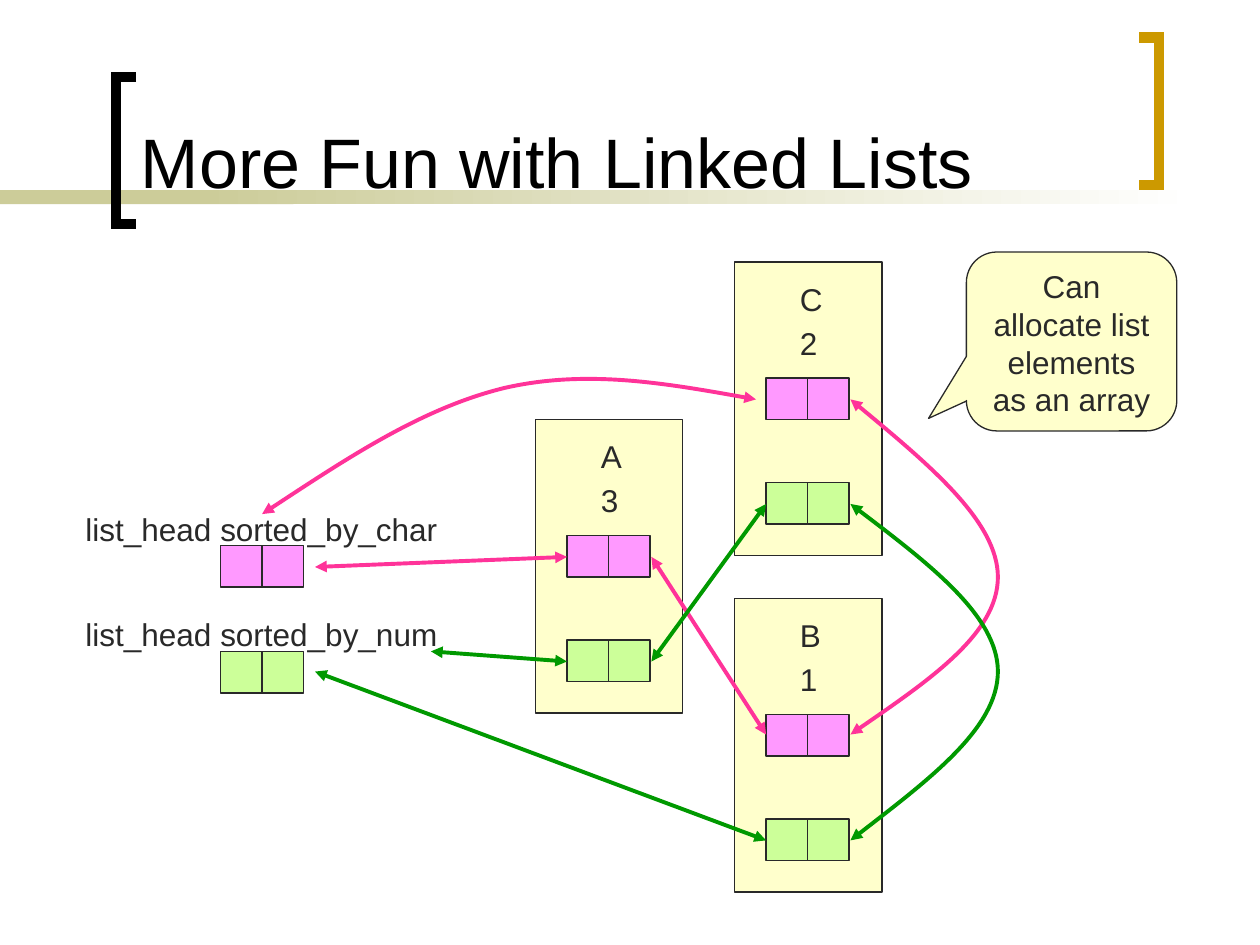
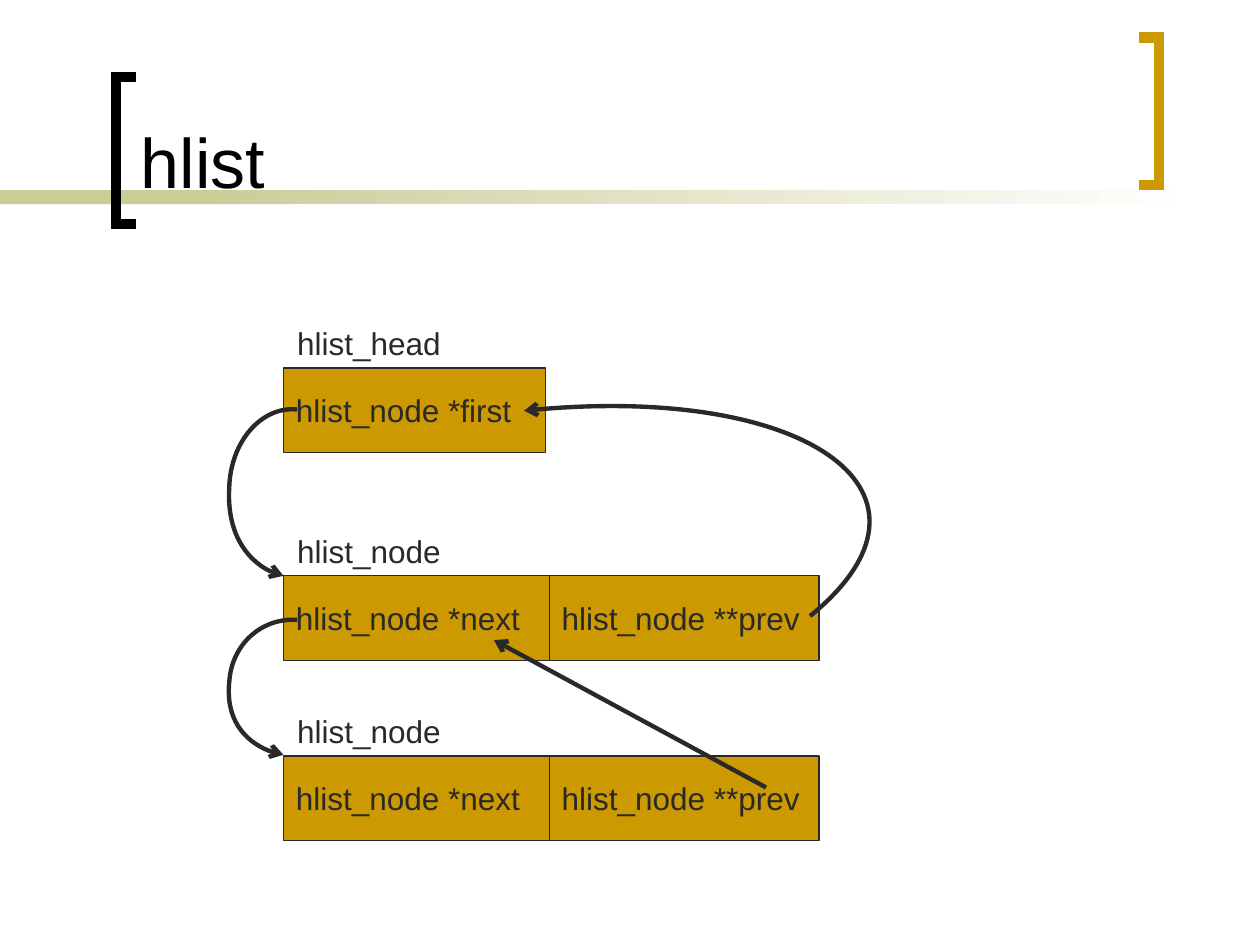
import pptx
import pptx.dml.color
import pptx.enum.shapes
import pptx.enum.text
import pptx.oxml
import pptx.oxml.ns
import pptx.util

Inches, Pt = pptx.util.Inches, pptx.util.Pt
SHAPE = pptx.enum.shapes.MSO_SHAPE
ANCHOR = pptx.enum.text.MSO_ANCHOR
ALIGN = pptx.enum.text.PP_ALIGN
COLORS = {
    "ink": "292929", "black": "000000", "white": "FFFFFF", "gold": "CC9900",
    "band": "CCCC99", "cream": "FFFFCC", "pink": "FF99FF", "lime": "CCFF99",
    "char_link": "FF3399", "num_link": "009900",
}
RGB = {name: pptx.dml.color.RGBColor.from_string(code) for name, code in COLORS.items()}
CELL = 0.33


def add_box(page, left, top, width, height, text="", fill=None, preset=SHAPE.RECTANGLE,
            anchor=ANCHOR.TOP, align=ALIGN.LEFT, size=18, color="ink", wrap=True):
    """Add an outlined shape, or a plain text box when there is no fill."""
    place = [Inches(value) for value in (left, top, width, height)]
    if fill:
        box = page.shapes.add_shape(preset, *place)
        box.shadow.inherit = False
        box.fill.solid()
        box.fill.fore_color.rgb = RGB[fill]
        box.line.color.rgb = RGB["ink"]
        box.line.width = Pt(0.75)
    else:
        box = page.shapes.add_textbox(*place)
    if text:
        frame = box.text_frame
        frame.word_wrap = wrap
        if not wrap:
            frame.auto_size = pptx.enum.text.MSO_AUTO_SIZE.SHAPE_TO_FIT_TEXT
        frame.vertical_anchor = anchor
        para = frame.paragraphs[0]
        para.text = text
        para.alignment = align
        para.font.name = "Arial"
        para.font.size = Pt(size)
        para.font.color.rgb = RGB[color]
    return box


def add_path(page, points, color, width, head=None, tail=None, curved=False):
    """Draw a straight connector, an open outline, or Bezier curves through points."""
    spots = [(Inches(x), Inches(y)) for x, y in points]
    if len(spots) == 2:
        stroke = page.shapes.add_connector(
            pptx.enum.shapes.MSO_CONNECTOR.STRAIGHT, *spots[0], *spots[1])
    else:
        builder = page.shapes.build_freeform(*spots[0], scale=1.0)
        builder.add_line_segments(spots[1:], close=False)
        stroke = builder.convert_to_shape()
        stroke.fill.background()
    properties = stroke._element.spPr
    if curved:
        # Every three straight segments become the points of one cubic curve
        segments = list(properties.iter(pptx.oxml.ns.qn("a:lnTo")))
        outline = segments[0].getparent()
        for start in range(0, len(segments), 3):
            curve = pptx.oxml.parse_xml(f"<a:cubicBezTo {pptx.oxml.ns.nsdecls('a')}/>")
            outline.append(curve)
            for segment in segments[start:start + 3]:
                curve.append(segment[0])
                outline.remove(segment)
    stroke.line.color.rgb = RGB[color]
    stroke.line.width = Pt(width)
    line = stroke.line._get_or_add_ln()
    details = [(line, "miter", 'lim="800000"')]
    details += [(line, end, f'type="{kind}"')
                for end, kind in (("headEnd", head), ("tailEnd", tail)) if kind]
    details.append((properties, "effectLst", ""))
    for parent, tag, attributes in details:
        parent.append(pptx.oxml.parse_xml(
            f"<a:{tag} {pptx.oxml.ns.nsdecls('a')} {attributes}/>"))


deck = pptx.Presentation()
deck.slide_width, deck.slide_height = Inches(10), Inches(7.5)

# Shared frame: band, brackets and title
pages = []
for title in ("More Fun with Linked Lists", "hlist"):
    page = deck.slides.add_slide(deck.slide_layouts[6])
    pages.append(page)
    add_box(page, 0, 1.51, 2.33, 0.11, fill="band").line.fill.background()
    fade = add_box(page, 1.58, 1.51, 7.92, 0.11, fill="band")
    fade.line.fill.background()
    fade.fill.gradient()
    fade.fill.gradient_angle = 0
    for stop, name in zip(fade.fill.gradient_stops, ("band", "white")):
        stop.color.rgb = RGB[name]
    for tip, spine, top, color in ((1.08, 0.92, 0.61, "black"), (9.04, 9.2, 0.3, "gold")):
        bottom = top + 1.17
        add_path(page, [(tip, top), (spine, top), (spine, bottom), (tip, bottom)], color, 6)
    add_box(page, 1.02, 0.11, 7.83, 1.55, title, anchor=ANCHOR.BOTTOM, size=40, color="black")

lists_page, hlist_page = pages

# List heads and elements, each with its pairs of link cells
pairs = [(1.75, 4.33, "pink"), (1.75, 5.17, "lime")]
for top, name in ((4, "list_head sorted_by_char"), (4.83, "list_head sorted_by_num")):
    add_box(lists_page, 0.58, top, 2.99, 0.4, name, wrap=False)
for left, top, letter, number in ((4.25, 3.33, "A", "3"), (5.83, 4.75, "B", "1"),
                                  (5.83, 2.08, "C", "2")):
    add_box(lists_page, left, top, 1.17, 2.33, fill="cream")
    add_box(lists_page, left + 0.42, top + 0.09, 0.36, 0.4, letter, wrap=False)
    add_box(lists_page, left + 0.42, top + 0.44, 0.34, 0.4, number, wrap=False)
    pairs += [(left + 0.25, top + 0.92, "pink"), (left + 0.25, top + 1.75, "lime")]
for left, top, fill in pairs:
    for column in range(2):
        add_box(lists_page, left + column * CELL, top, CELL, CELL, fill=fill)

# Two-way links of both sort orders
links = [
    ("char_link", [(2.5, 4.5), (4.5, 4.42)]),
    ("char_link", [(5.17, 4.42), (6.08, 5.83)]),
    ("char_link", [(6.75, 5.83), (7.33, 5.43), (7.92, 5.03), (7.92, 4.58),
                   (7.92, 4.14), (7.33, 3.65), (6.75, 3.17)]),
    ("char_link", [(6, 3.17), (5.33, 3.05), (4.65, 2.93), (4, 3.08),
                   (3.35, 3.24), (2.72, 3.66), (2.08, 4.08)]),
    ("num_link", [(2.5, 5.33), (6.08, 6.67)]),
    ("num_link", [(6.75, 6.67), (7.33, 6.22), (7.92, 5.78), (7.92, 5.33),
                  (7.92, 4.89), (7.33, 4.44), (6.75, 4)]),
    ("num_link", [(6.08, 4), (5.17, 5.25)]),
    ("num_link", [(4.5, 5.25), (3.42, 5.17)]),
]
for color, points in links:
    add_path(lists_page, points, color, 2.25, "triangle", "triangle", curved=len(points) > 2)

# Callout
callout = add_box(lists_page, 7.67, 2, 1.67, 1.42, "Can allocate list elements as an array",
                  "cream", SHAPE.ROUNDED_RECTANGULAR_CALLOUT, align=ALIGN.CENTER)
for index, value in enumerate((-0.68, 0.43, 0.17)):
    callout.adjustments[index] = value

# Structures with their pointer fields
next_and_prev = [("hlist_node *next", 2.11), ("hlist_node **prev", 2.14)]
for top, name, fields in ((2.92, "hlist_head", [("hlist_node *first", 2.08)]),
                          (4.57, "hlist_node", next_and_prev),
                          (6, "hlist_node", next_and_prev)):
    add_box(hlist_page, 2.26, top - 0.4, 1.34, 0.4, name, wrap=False)
    left = 2.25
    for field, width in fields:
        add_box(hlist_page, left, top, width, 0.67, field, "gold", anchor=ANCHOR.MIDDLE)
        left += width

# Pointers: two arcs on the left, the long arc back, the straight one
arcs = [
    [(2.25, 4.57), (1.99, 4.52), (1.8, 4.21), (1.82, 3.87),
     (1.83, 3.5), (2.08, 3.22), (2.36, 3.25)],
    [(2.25, 5.99), (1.98, 5.95), (1.79, 5.7), (1.82, 5.41),
     (1.84, 5.11), (2.08, 4.9), (2.36, 4.92)],
    [(4.16, 3.26), (6.39, 3.03), (7.62, 3.92), (6.43, 4.89)],
]
for points in arcs:
    add_path(hlist_page, points, "ink", 2.5, head="arrow", curved=True)
add_path(hlist_page, [(6.08, 6.25), (3.92, 5.08)], "ink", 2.5, tail="arrow")

deck.save("out.pptx")
